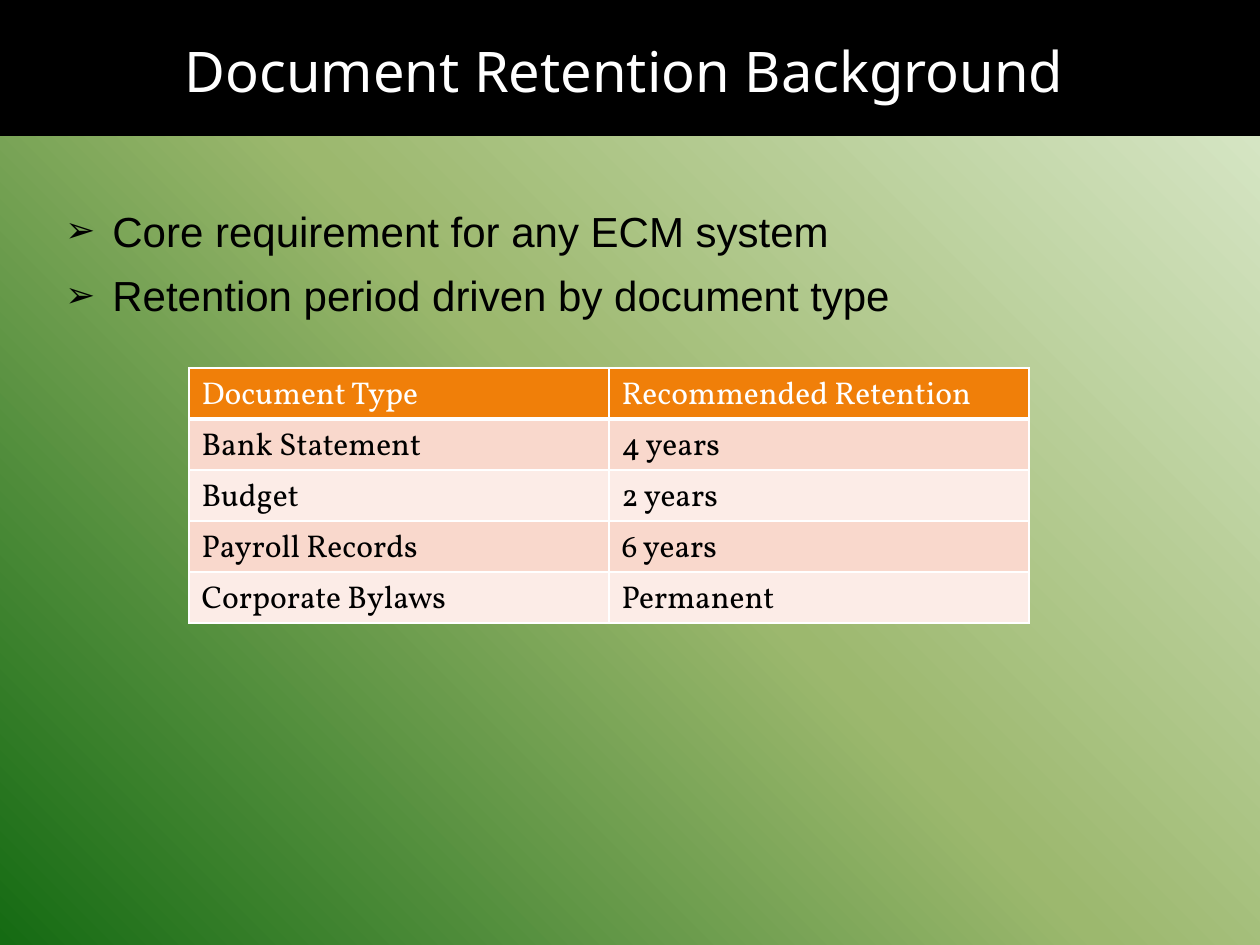
from copy import deepcopy

from lxml.etree import SubElement
from pptx import Presentation
from pptx.dml.color import RGBColor
from pptx.enum.shapes import MSO_SHAPE
from pptx.enum.text import MSO_ANCHOR, PP_ALIGN
from pptx.oxml.ns import qn
from pptx.util import Pt

EMU_PER_PX = 914400 / 126
BLACK = RGBColor(0x00, 0x00, 0x00)
WHITE = RGBColor(0xFF, 0xFF, 0xFF)
ORANGE = RGBColor(0xF0, 0x7F, 0x09)
PINK = RGBColor(0xF9, 0xD8, 0xCC)
PALE_PINK = RGBColor(0xFC, 0xEC, 0xE7)
PALE_GREEN = RGBColor(0xDD, 0xEB, 0xCF)
MOSS = RGBColor(0x9C, 0xB8, 0x6E)
DARK_GREEN = RGBColor(0x15, 0x6B, 0x13)

BULLETS = ["Core requirement for any ECM system",
           "Retention period driven by document type"]
RETENTION = [("Document Type", "Recommended Retention"),
             ("Bank Statement", "4 years"),
             ("Budget", "2 years"),
             ("Payroll Records", "6 years"),
             ("Corporate Bylaws", "Permanent")]


def px(*lengths):
    return [round(n * EMU_PER_PX) for n in lengths]


def write(p, text, font="Arial", size=24, color=BLACK, align=PP_ALIGN.LEFT):
    p.alignment = align
    r = p.add_run()
    r.text = text
    r.font.name = font
    r.font.size = Pt(size)
    r.font.color.rgb = color


def add_bullet(p, char, indent, percent):
    """Give the paragraph a hanging bullet."""
    pPr = p._p.get_or_add_pPr()
    width, = px(indent)
    pPr.set("marL", str(width))
    pPr.set("indent", str(-width))
    SubElement(pPr, qn("a:buSzPct"), val=str(percent * 1000))
    SubElement(pPr, qn("a:buFont"), typeface="Arial")
    SubElement(pPr, qn("a:buChar"), char=char)


def set_borders(cell, color, bottom=1):
    tcPr = cell._tc.get_or_add_tcPr()
    for side, width in (("L", 1), ("R", 1), ("T", 1), ("B", bottom)):
        ln = SubElement(tcPr, qn(f"a:ln{side}"), w=str(Pt(width)))
        fill = SubElement(ln, qn("a:solidFill"))
        SubElement(fill, qn("a:srgbClr"), val=str(color))


class SlideBuilder:
    title_font = "Noto Sans"
    body_font = "Arial"
    table_font = "Vollkorn"

    def __init__(self, prs):
        self.s = prs.slides.add_slide(prs.slide_layouts[6])

    def background(self, colors, angle):
        """Spread three colours evenly along a linear gradient."""
        fill = self.s.background.fill
        fill.gradient()
        fill.gradient_angle = angle
        stops = self.s.element.find(".//" + qn("a:gsLst"))
        stops.append(deepcopy(stops[-1]))
        for i, (stop, color) in enumerate(zip(fill.gradient_stops, colors)):
            stop.color.rgb = color
            stop.position = i / (len(colors) - 1)

    def band(self, x, y, w, h, color):
        sp = self.s.shapes.add_shape(MSO_SHAPE.RECTANGLE, *px(x, y, w, h))
        sp.shadow.inherit = False
        sp.fill.solid()
        sp.fill.fore_color.rgb = color
        sp.line.fill.background()

    def text_box(self, x, y, w, h, anchor=MSO_ANCHOR.TOP):
        tf = self.s.shapes.add_textbox(*px(x, y, w, h)).text_frame
        tf.word_wrap = True
        tf.vertical_anchor = anchor
        return tf

    def title(self, x, y, w, h, text):
        tf = self.text_box(x, y, w, h, MSO_ANCHOR.MIDDLE)
        write(tf.paragraphs[0], text, font=self.title_font, size=32,
              color=WHITE, align=PP_ALIGN.CENTER)

    def bullets(self, x, y, w, h, items):
        tf = self.text_box(x, y, w, h)
        for i, item in enumerate(items):
            p = tf.add_paragraph() if i else tf.paragraphs[0]
            p.space_before = Pt(6 if i else 0)
            p.space_after = Pt(2)
            add_bullet(p, "➢", indent=47, percent=85)
            write(p, item, font=self.body_font)

    def table(self, x, y, w, h, rows):
        shape = self.s.shapes.add_table(len(rows), len(rows[0]), *px(x, y, w, h))
        for i, row in enumerate(rows):
            header = i == 0
            fill = ORANGE if header else PINK if i % 2 else PALE_PINK
            for j, text in enumerate(row):
                cell = shape.table.cell(i, j)
                set_borders(cell, WHITE, bottom=3 if header else 1)
                cell.fill.solid()
                cell.fill.fore_color.rgb = fill
                write(cell.text_frame.paragraphs[0], text, font=self.table_font,
                      size=18, color=WHITE if header else BLACK)


def main():
    prs = Presentation()
    prs.slide_width, prs.slide_height = px(1260, 945)
    slide = SlideBuilder(prs)
    slide.background([PALE_GREEN, MOSS, DARK_GREEN], angle=225)
    slide.band(0, 0, 1260, 136, BLACK)
    slide.title(21, 21, 1207, 98, "Document Retention Background")
    slide.bullets(53, 199, 1155, 714, BULLETS)
    slide.table(189, 368, 840, 255, RETENTION)
    prs.save("out.pptx")


if __name__ == "__main__":
    main()
